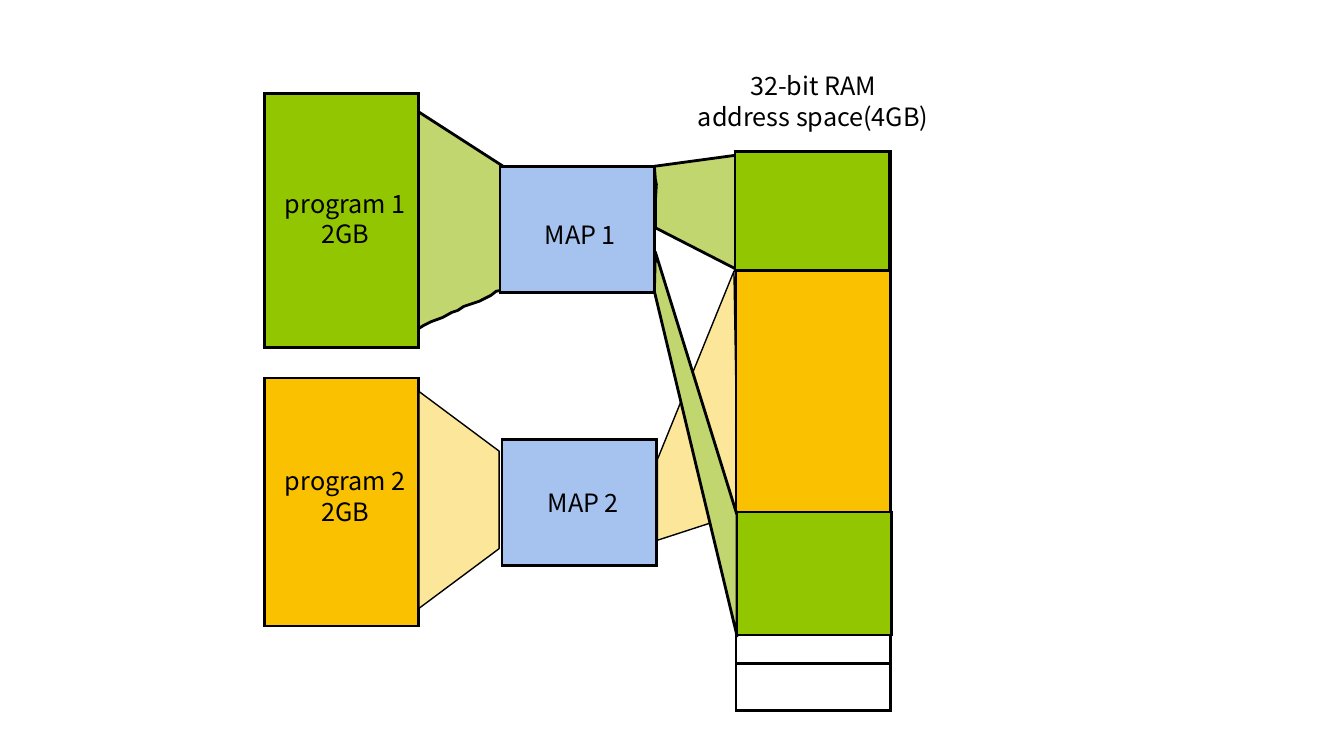
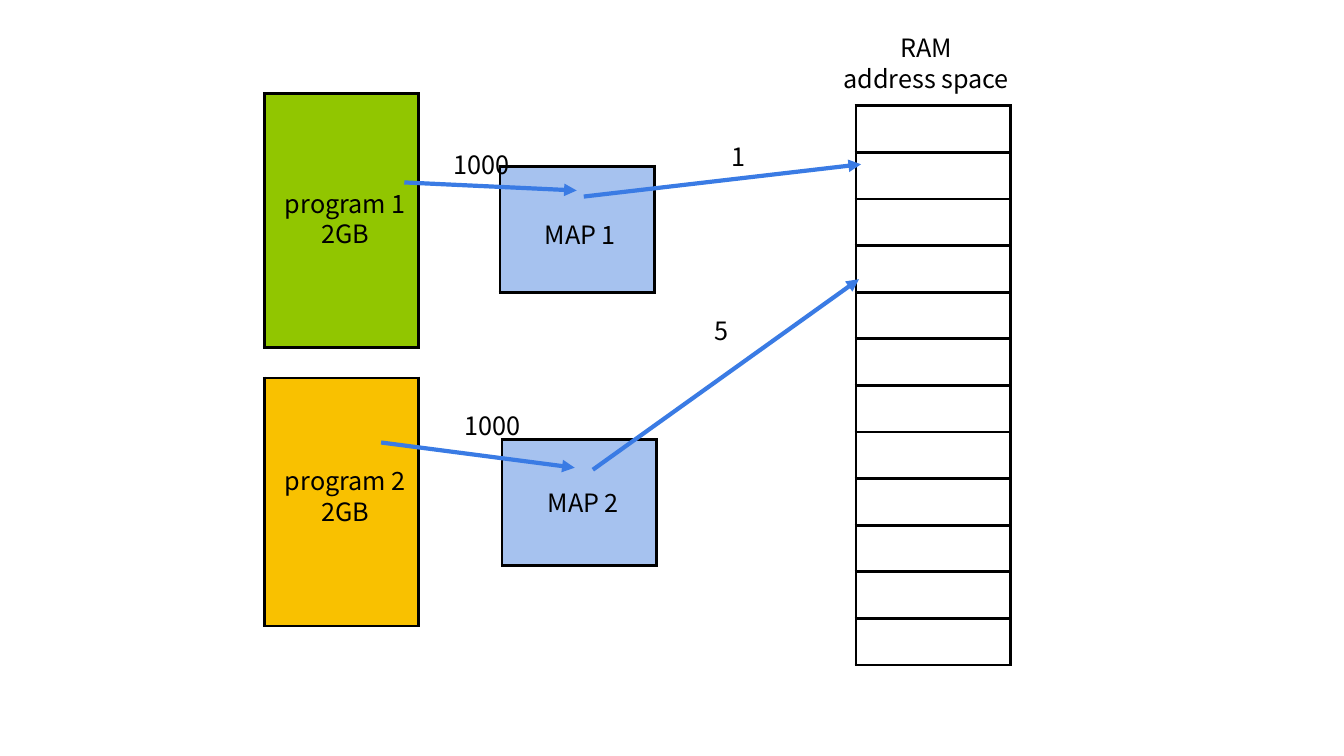
import pptx
import pptx.util
import pptx.dml.color
import pptx.enum.shapes
import pptx.enum.text
import pptx.oxml
import pptx.oxml.ns
import lxml.etree

Inches = pptx.util.Inches
Pt = pptx.util.Pt
RGB = pptx.dml.color.RGBColor
BLACK = RGB(0x00, 0x00, 0x00)
WHITE = RGB(0xFF, 0xFF, 0xFF)
GREEN = RGB(0x91, 0xC6, 0x00)
PALE = RGB(0xC2, 0xD6, 0x70)
GOLD = RGB(0xF9, 0xC1, 0x00)
SKY = RGB(0xA6, 0xC2, 0xEF)
BLUE = RGB(0x3A, 0x7B, 0xE4)
FONT = "Noto Sans CJK KR"
WIDE = 1.53
ROWS = 12
TALL = 5.55

BLOCKS = [
    (2.62, 3.75, 2.46, GOLD),
    (2.62, 0.93, 2.52, GREEN),
    (4.96, 1.65, 1.25, SKY),
    (4.98, 4.36, 1.25, SKY),
]
NAMES = [
    ("program 2\v2GB", 2.62, 4.56, 1.61, 0.71),
    ("program 1\v2GB", 2.62, 1.81, 1.61, 0.71),
    ("MAP 1", 4.95, 2.12, 1.61, 0.4),
    ("MAP 2", 4.98, 4.78, 1.61, 0.4),
]
FUNNEL = [
    (4.09, 1.07), (4.07, 1.32), (4.05, 1.38), (4.02, 1.83), (4.01, 1.99),
    (4, 2.9), (4.04, 3.19), (4.05, 3.31), (4.12, 3.28), (4.2, 3.23),
    (4.28, 3.19), (4.39, 3.15), (4.48, 3.1), (4.54, 3.08), (4.6, 3.04),
    (4.75, 2.99), (4.87, 2.93), (4.92, 2.89), (4.97, 2.88), (4.99, 1.65),
]
FAN = [(6.52, 4.56), (6.52, 5.36), (7.32, 5.1), (7.28, 2.69)]
TOP_FAN = [
    (6.49, 1.65), (6.5, 1.78), (6.51, 1.83), (6.5, 2), (6.5, 2.26),
    (7.3, 2.67), (7.3, 1.54),
]
LOW_FAN = [(6.5, 2.5), (7.31, 5.11), (7.31, 6.31), (6.49, 2.89)]
USED = [(7.29, 1.5, 1.18, GREEN), (7.31, 5.08, 1.22, GREEN)]
ARROWS = [
    (4.01, 1.81, 5.72, 1.89),
    (5.79, 1.95, 8.54, 1.63),
    (3.78, 4.39, 5.7, 4.64),
    (5.88, 4.66, 8.52, 2.77),
]
MARKS = [
    ("1000", 4.01, 1.43),
    ("1000", 4.12, 4.02),
    ("1", 6.56, 1.35),
    ("5", 6.39, 3.07),
]


def add_sub(parent, tag, **attrs):
    node = lxml.etree.SubElement(parent, pptx.oxml.ns.qn(tag))
    for key, val in attrs.items():
        node.set(key, val)
    return node


def add_block(slide, left, top, height, color, rows=1):
    frame = slide.shapes.add_table(
        rows, 1, Inches(left), Inches(top), Inches(WIDE), Inches(height))
    table = frame.table
    table.first_row = table.horz_banding = False
    for row in table.rows:
        row.height = Inches(height / rows)
        cell = row.cells[0]
        props = cell._tc.get_or_add_tcPr()
        for side in ("L", "R", "T", "B"):
            line = add_sub(props, "a:ln" + side, w=str(Pt(2.25)))
            fill = add_sub(line, "a:solidFill")
            add_sub(fill, "a:srgbClr", val=str(BLACK))
        cell.fill.solid()
        cell.fill.fore_color.rgb = color


def add_text(slide, text, left, top, width, height):
    box = slide.shapes.add_textbox(
        Inches(left), Inches(top), Inches(width), Inches(height))
    frame = box.text_frame
    frame.word_wrap = True
    frame.auto_size = pptx.enum.text.MSO_AUTO_SIZE.SHAPE_TO_FIT_TEXT
    frame.text = text
    for para in frame.paragraphs:
        para.alignment = pptx.enum.text.PP_ALIGN.CENTER
        para.line_spacing = Pt(22)
        for run in para.runs:
            run.font.name = FONT
            run.font.size = Pt(18)
            run.font.color.rgb = BLACK


def paint(shape, color, weight, alpha=None):
    shape.shadow.inherit = False
    shape.fill.solid()
    shape.fill.fore_color.rgb = color
    shape.line.color.rgb = BLACK
    shape.line.width = Pt(weight)
    if alpha:
        fill = shape._element.spPr.find(pptx.oxml.ns.qn("a:solidFill"))
        add_sub(fill[0], "a:alpha", val=str(alpha * 1000))


def add_free(slide, points, color, weight, alpha=None):
    spots = [(Inches(x), Inches(y)) for x, y in points]
    path = slide.shapes.build_freeform(*spots[0])
    path.add_line_segments(spots[1:], close=True)
    paint(path.convert_to_shape(), color, weight, alpha)


def add_arrow(slide, *ends):
    line = slide.shapes.add_connector(
        pptx.enum.shapes.MSO_CONNECTOR.STRAIGHT, *map(Inches, ends))
    line.line.color.rgb = BLUE
    line.line.width = Pt(3)
    add_sub(line.line._get_or_add_ln(), "a:tailEnd", type="triangle")
    add_sub(line._element.spPr, "a:effectLst")


def add_base(slide, left, top, title, head):
    add_block(slide, left, top, TALL, WHITE, ROWS)
    add_text(slide, title, *head, 2.69, 0.71)
    for block in BLOCKS:
        add_block(slide, *block)
    for name in NAMES:
        add_text(slide, *name)


def draw_split(slide):
    add_free(slide, FUNNEL, PALE, 2)
    add_base(slide, 7.3, 1.5, "32-bit RAM\naddress space(4GB)", (6.72, 0.64))
    trap = slide.shapes.add_shape(
        pptx.enum.shapes.MSO_SHAPE.TRAPEZOID,
        Inches(3.47), Inches(4.56), Inches(2.16), Inches(0.8))
    trap.rotation = 90
    trap.adjustments[0] = 0.745
    paint(trap, GOLD, 1, 40)
    add_free(slide, FAN, GOLD, 1, 40)
    add_block(slide, 7.3, 2.68, 2.4, GOLD)
    for points in (TOP_FAN, LOW_FAN):
        add_free(slide, points, PALE, 2)
    for block in USED:
        add_block(slide, *block)


def draw_lookup(slide):
    add_base(slide, 8.49, 1.05, "RAM\naddress space", (7.84, 0.27))
    for ends in ARROWS:
        add_arrow(slide, *ends)
    for text, left, top in MARKS:
        add_text(slide, text, left, top, WIDE, 0.4)


def main():
    deck = pptx.Presentation()
    deck.slide_width = Inches(13.33)
    deck.slide_height = Inches(7.5)
    for draw in (draw_split, draw_lookup):
        draw(deck.slides.add_slide(deck.slide_layouts[6]))
    deck.save("out.pptx")


if __name__ == "__main__":
    main()
